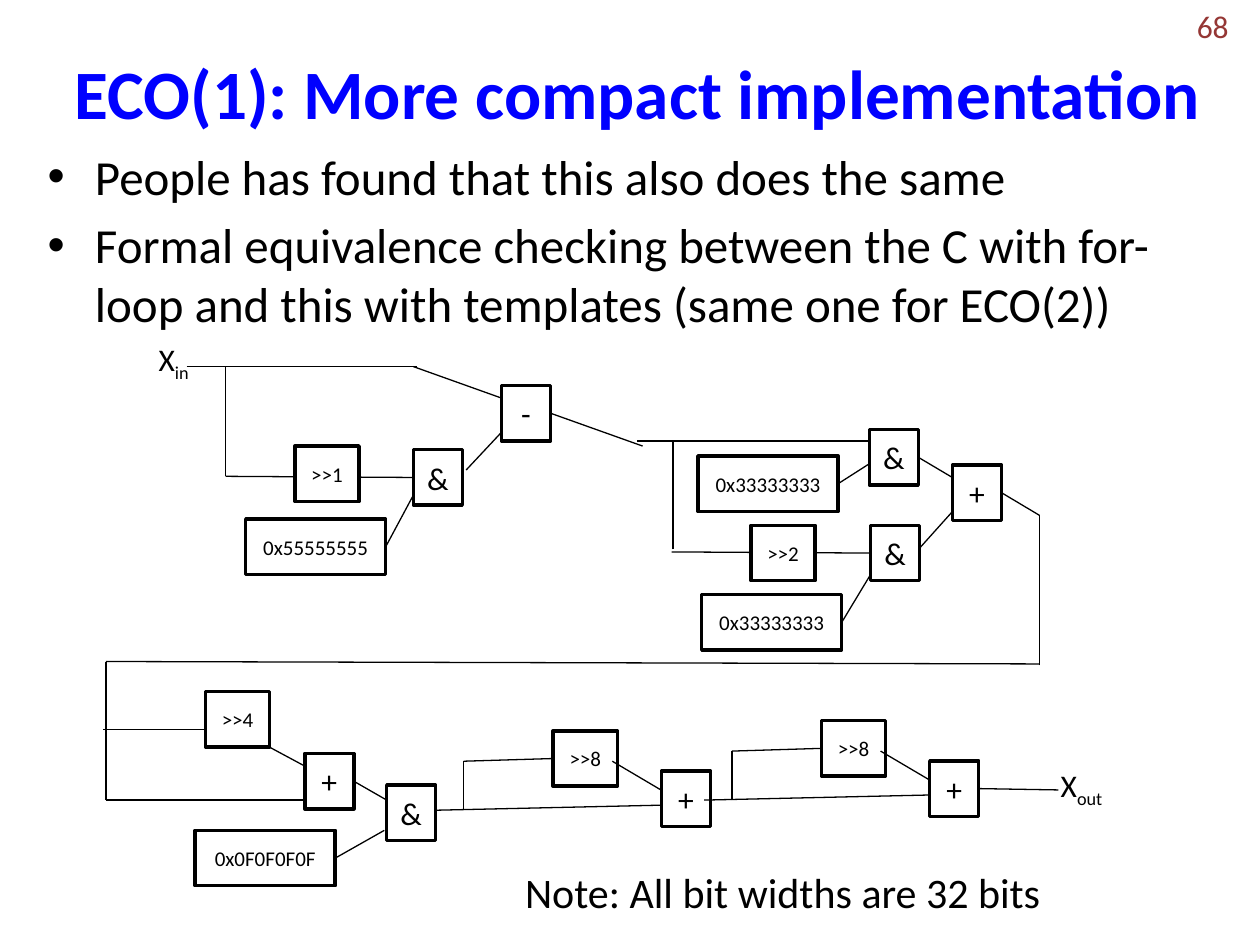
from lxml.etree import SubElement
from pptx import Presentation
from pptx.dml.color import RGBColor
from pptx.enum.shapes import MSO_CONNECTOR as Connector, MSO_SHAPE as Shape
from pptx.enum.text import MSO_ANCHOR as Anchor, MSO_AUTO_SIZE as AutoSize, PP_ALIGN as Align
from pptx.oxml.ns import qn
from pptx.util import Pt

COLORS = {"title": "0000FF", "ink": "000000", "paper": "FFFFFF", "number": "953735"}
LEFT, RIGHT = 1, 3
HEIGHT = 31.7
OPERATOR, SHIFT, CONSTANT = (28, 18), (36.7, 12), (80, 12)


def color(name):
    return RGBColor.from_string(COLORS[name])


def write(paragraph, text, size=18, ink="ink", bold=False, baseline=None):
    run = paragraph.add_run()
    run.text = text
    run.font.name = "Calibri"
    run.font.size = Pt(size)
    run.font.bold = bold
    run.font.color.rgb = color(ink)
    if baseline:
        run.font._element.set("baseline", str(baseline))


class Diagram:
    """Draws the slide's texts, boxes and wires in one style."""

    def __init__(self, slide):
        self.slide = slide
        self.boxes = {}

    def text(self, left, top, width, height, text, subscript="", wrap=True,
             align=Align.LEFT, anchor=Anchor.TOP, **style):
        shape = self.slide.shapes.add_textbox(Pt(left), Pt(top), Pt(width), Pt(height))
        frame = shape.text_frame
        frame.word_wrap = wrap
        frame.vertical_anchor = anchor
        if not wrap:
            frame.auto_size = AutoSize.SHAPE_TO_FIT_TEXT
        paragraph = frame.paragraphs[0]
        paragraph.alignment = align
        write(paragraph, text, **style)
        if subscript:
            write(paragraph, subscript, baseline=-25000, **style)

    def bullets(self, left, top, width, height, items, size):
        shape = self.slide.shapes.add_textbox(Pt(left), Pt(top), Pt(width), Pt(height))
        frame = shape.text_frame
        frame.word_wrap = True
        for index, item in enumerate(items):
            paragraph = frame.add_paragraph() if index else frame.paragraphs[0]
            properties = paragraph._p.get_or_add_pPr()
            properties.set("marL", str(Pt(27)))
            properties.set("indent", str(-Pt(27)))
            SubElement(properties, qn("a:buFont"), typeface="Arial")
            SubElement(properties, qn("a:buChar"), char="•")
            if index:
                paragraph.space_before = Pt(size * 0.2)
            write(paragraph, item, size=size)

    def box(self, name, kind, left, top, text):
        width, size = kind
        shape = self.slide.shapes.add_shape(
            Shape.RECTANGLE, Pt(left), Pt(top), Pt(width), Pt(HEIGHT))
        shape.shadow.inherit = False
        shape.fill.solid()
        shape.fill.fore_color.rgb = color("paper")
        shape.line.color.rgb = color("ink")
        shape.line.width = Pt(2)
        frame = shape.text_frame
        frame.word_wrap = True
        frame.vertical_anchor = Anchor.MIDDLE
        frame.paragraphs[0].alignment = Align.CENTER
        write(frame.paragraphs[0], text, size=size)
        self.boxes[name] = shape

    def wire(self, start, end):
        """Joins a point, or a (box name, side) pair, to a point."""
        joined = isinstance(start[0], str)
        x, y = end if joined else start
        connector = self.slide.shapes.add_connector(
            Connector.STRAIGHT, Pt(x), Pt(y), Pt(end[0]), Pt(end[1]))
        if joined:
            connector.begin_connect(self.boxes[start[0]], start[1])
        connector.line.color.rgb = color("ink")
        connector.line.width = Pt(0.75)
        SubElement(connector._element.spPr, qn("a:effectLst"))

    def add_stage(self, name, x, y):
        """Draws one shift-by-8 and add stage that branches off at x, y."""
        shift, add = f"shift {name}", f"add {name}"
        self.box(shift, SHIFT, x + 51.1, y - 45.4, ">>8")
        self.box(add, OPERATOR, x + 113, y - 22.4, "+")
        self.wire((x - 15.9, y), (x + 113, y - 2.9))
        self.wire((shift, LEFT), (x, y - 28))
        self.wire((x + 84.9, y - 28), (x + 113, y - 11.4))
        self.wire((x, y), (x, y - 28))


BOXES = [
    ("mask 5", CONSTANT, 140.4, 296.6, "0x55555555"),
    ("subtract", OPERATOR, 286.6, 220.3, "-"),
    ("and 5", OPERATOR, 236.2, 257, "&"),
    ("and 3 top", OPERATOR, 496.8, 245.5, "&"),
    ("mask 3 top", CONSTANT, 398.9, 260.6, "0x33333333"),
    ("add 3", OPERATOR, 544.3, 265.7, "+"),
    ("and 3 low", OPERATOR, 497.5, 300.2, "&"),
    ("mask 3 low", CONSTANT, 401, 339.8, "0x33333333"),
    ("shift 4", SHIFT, 117.4, 395.3, ">>4"),
    ("add F", OPERATOR, 174.2, 430.6, "+"),
    ("and F", OPERATOR, 221, 448.6, "&"),
    ("mask F", CONSTANT, 111.6, 474.5, "0x0F0F0F0F"),
]
WIRES = [
    ((106.6, 209.5), (238.3, 209.5)),
    (("and 5", LEFT), (128.9, 272.2)),
    ((128.9, 272.2), (128.9, 209.5)),
    (("mask 5", RIGHT), (236.2, 283)),
    ((266.4, 268.6), (286.6, 247)),
    ((236.2, 209.5), (286.6, 227.5)),
    (("subtract", RIGHT), (367.2, 254.9)),
    ((364.3, 252), (496.8, 252)),
    (("and 3 low", LEFT), (383.8, 315.4)),
    ((384.5, 313.9), (384.5, 252)),
    (("mask 3 top", RIGHT), (496.8, 265)),
    ((524.9, 313.9), (544.3, 292.3)),
    (("and 3 top", RIGHT), (544.3, 272.9)),
    (("add 3", RIGHT), (594, 294.5)),
    (("mask 3 low", RIGHT), (497.5, 328.3)),
    ((594, 380.2), (594, 294.5)),
    ((60.5, 378), (594, 379.4)),
    ((60.5, 378), (60.5, 417.6)),
    ((59, 416.9), (117.4, 416.9)),
    ((174.2, 457.2), (60.5, 457.2)),
    ((60.5, 457.2), (60.5, 417.6)),
    ((154.1, 427), (174.2, 437.8)),
    (("add F", RIGHT), (221, 457.2)),
    (("mask F", RIGHT), (219.6, 474.5)),
]


def main():
    presentation = Presentation()
    presentation.slide_width, presentation.slide_height = Pt(720), Pt(540)
    diagram = Diagram(presentation.slides.add_slide(presentation.slide_layouts[6]))
    diagram.text(8.6, 1.4, 711.4, 101.5, "ECO(1): More compact implementation",
                 align=Align.CENTER, anchor=Anchor.MIDDLE, size=39.6, ink="title", bold=True)
    for box in BOXES:
        diagram.box(*box)
    for start, end in WIRES:
        diagram.wire(start, end)
    diagram.box("shift 1", SHIFT, 168.5, 254.9, ">>1")
    diagram.box("shift 2", SHIFT, 429.1, 300.2, ">>2")
    diagram.add_stage("first", 265, 463)
    diagram.add_stage("second", 418.3, 457.2)
    diagram.wire(("add second", RIGHT), (604.8, 451.4))
    diagram.text(83.5, 190.8, 37.4, 28.8, "X", subscript="in", wrap=False)
    diagram.text(599, 434.2, 44.6, 28.8, "X", subscript="out", wrap=False)
    diagram.text(293, 491.8, 311.8, 36, "Note: All bit widths are 32 bits", wrap=False, size=24)
    diagram.bullets(20.2, 79.9, 648, 356.4, [
        "People has found that this also does the same",
        "Formal equivalence checking between the C with for-loop and this with templates "
        "(same one for ECO(2))",
    ], size=28)
    diagram.text(541.4, 0.7, 167.8, 28.8, "68", align=Align.RIGHT, anchor=Anchor.MIDDLE,
                 ink="number")
    presentation.save("out.pptx")


if __name__ == "__main__":
    main()
